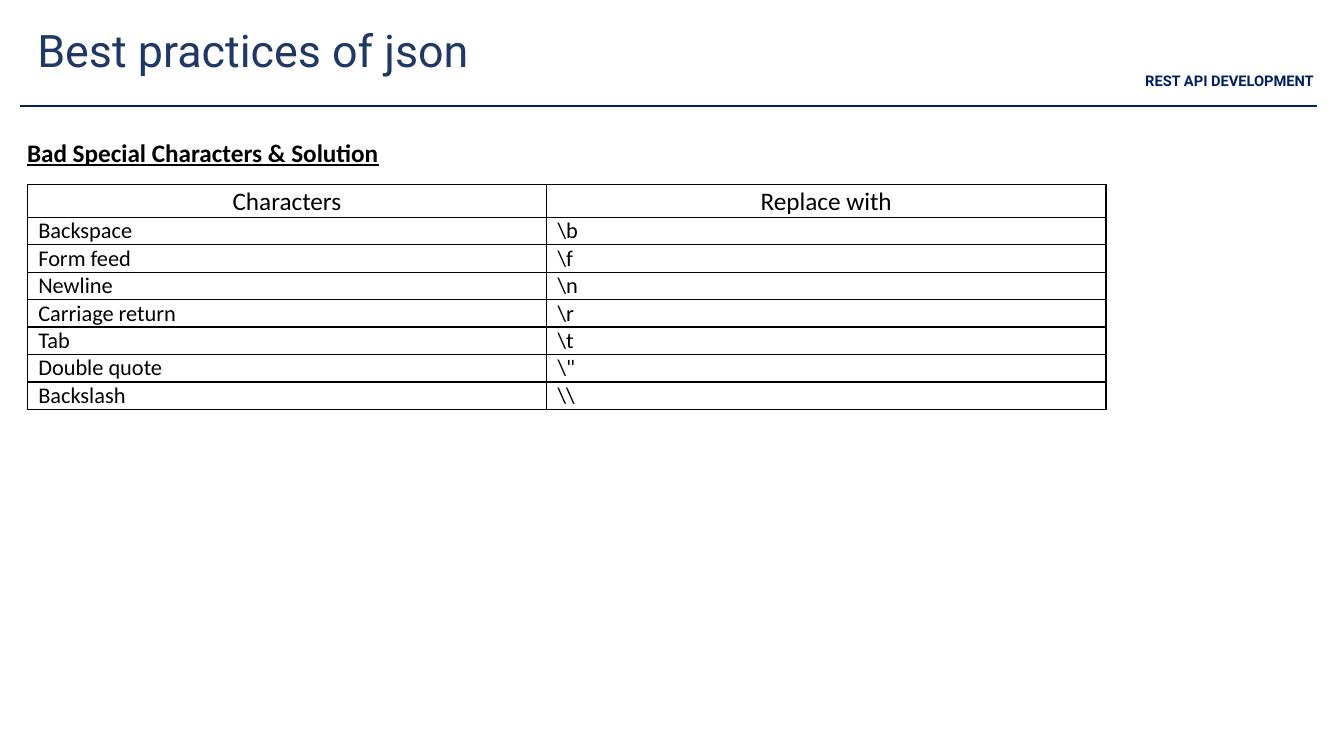
from dataclasses import dataclass

from lxml import etree
from pptx import Presentation
from pptx.dml.color import RGBColor
from pptx.enum.shapes import MSO_CONNECTOR
from pptx.enum.text import MSO_ANCHOR, MSO_AUTO_SIZE, PP_ALIGN
from pptx.oxml import parse_xml
from pptx.oxml.ns import nsdecls, qn
from pptx.util import Emu, Pt

LEFT, CENTER = PP_ALIGN.LEFT, PP_ALIGN.CENTER
TOP = MSO_ANCHOR.TOP
NO_AUTOFIT = MSO_AUTO_SIZE.NONE
STRAIGHT = MSO_CONNECTOR.STRAIGHT

EMU_PER_PX = 9144  # 100 px to the inch
NAVY, TITLE_BLUE, BLACK = "002060", "203864", "000000"
BORDER_POINTS = 1

COLUMN_WIDTHS = (515, 555)
HEADER_HEIGHT, ROW_HEIGHT = 32, 27
CELL_MARGIN = 11
HEADERS = ("Characters", "Replace with")
ESCAPES = (
    ("Backspace", r"\b"),
    ("Form feed", r"\f"),
    ("Newline", r"\n"),
    ("Carriage return", r"\r"),
    ("Tab", r"\t"),
    ("Double quote", r"\""),
    ("Backslash", r"\\"),
)


@dataclass(frozen=True)
class TextStyle:
    font: str
    size: float
    color: str
    bold: bool = False
    underline: bool = False
    align: PP_ALIGN = LEFT
    line_spacing: float = 1.0
    space_after: int = 0


@dataclass(frozen=True)
class Label:
    text: str
    left: int
    top: int
    width: int
    height: int
    style: TextStyle


TITLE = Label("Best practices of json", 27, 18, 647, 64,
              TextStyle("Roboto", 32, TITLE_BLUE))
LABELS = (
    Label("REST API DEVELOPMENT", 1124, 66, 191, 28,
          TextStyle("Roboto", 10.5, NAVY, bold=True, align=CENTER)),
    Label("Bad Special Characters & Solution", 17, 129, 667, 41,
          TextStyle("Calibri", 18, BLACK, bold=True, underline=True,
                    line_spacing=1.07, space_after=8)),
)
HEADER_STYLE = TextStyle("Calibri", 18, BLACK, align=CENTER, line_spacing=1.07)
CELL_STYLE = TextStyle("Calibri", 16, BLACK)


def px(length: int) -> Emu:
    return Emu(length * EMU_PER_PX)


def rgb(color: str) -> RGBColor:
    return RGBColor.from_string(color)


def write_text(frame, text: str, style: TextStyle) -> None:
    frame.text = text
    para = frame.paragraphs[0]
    para.alignment = style.align
    para.line_spacing = style.line_spacing
    para.space_after = Pt(style.space_after)
    font = para.font
    font.name, font.size = style.font, Pt(style.size)
    font.bold, font.underline = style.bold, style.underline
    font.color.rgb = rgb(style.color)


def fill_box(box, label: Label) -> None:
    box.left, box.top = px(label.left), px(label.top)
    box.width, box.height = px(label.width), px(label.height)
    frame = box.text_frame
    frame.word_wrap = True
    frame.auto_size = NO_AUTOFIT
    frame.vertical_anchor = TOP
    write_text(frame, label.text, label.style)


def add_rule(page, start: int, end: int, top: int) -> None:
    rule = page.shapes.add_connector(STRAIGHT, px(start), px(top), px(end), px(top))
    rule.line.color.rgb = rgb(NAVY)
    rule.line.width = Pt(1.5)
    etree.SubElement(rule.element.spPr, qn("a:effectLst"))


def format_cell(cell, text: str, style: TextStyle) -> None:
    cell.margin_left = cell.margin_right = px(CELL_MARGIN)
    cell.margin_top = cell.margin_bottom = 0
    properties = cell._tc.get_or_add_tcPr()
    for side in ("lnL", "lnR", "lnT", "lnB"):
        properties.append(parse_xml(
            f'<a:{side} {nsdecls("a")} w="{Pt(BORDER_POINTS)}"><a:solidFill>'
            f'<a:srgbClr val="{BLACK}"/></a:solidFill></a:{side}>'))
    cell.fill.background()
    write_text(cell.text_frame, text, style)


def add_escape_table(page, left: int, top: int) -> None:
    rows = (HEADERS, *ESCAPES)
    heights = [HEADER_HEIGHT] + [ROW_HEIGHT] * len(ESCAPES)
    table = page.shapes.add_table(
        len(rows), len(HEADERS), px(left), px(top),
        px(sum(COLUMN_WIDTHS)), px(sum(heights))).table
    table.first_row = table.horz_banding = False
    for column, width in zip(table.columns, COLUMN_WIDTHS):
        column.width = px(width)
    for row, height, texts in zip(table.rows, heights, rows):
        row.height = px(height)
        style = HEADER_STYLE if texts is HEADERS else CELL_STYLE
        for cell, text in zip(row.cells, texts):
            format_cell(cell, text, style)


def main() -> None:
    deck = Presentation()
    deck.slide_width, deck.slide_height = px(1333), px(750)
    page = deck.slides.add_slide(deck.slide_layouts.get_by_name("Title Only"))

    # Heading area
    fill_box(page.shapes.title, TITLE)
    for label in LABELS:
        fill_box(page.shapes.add_textbox(0, 0, 0, 0), label)
    add_rule(page, 20, 1306, 105)

    # Escape sequences
    add_escape_table(page, 27, 183)

    deck.save("out.pptx")


if __name__ == "__main__":
    main()
